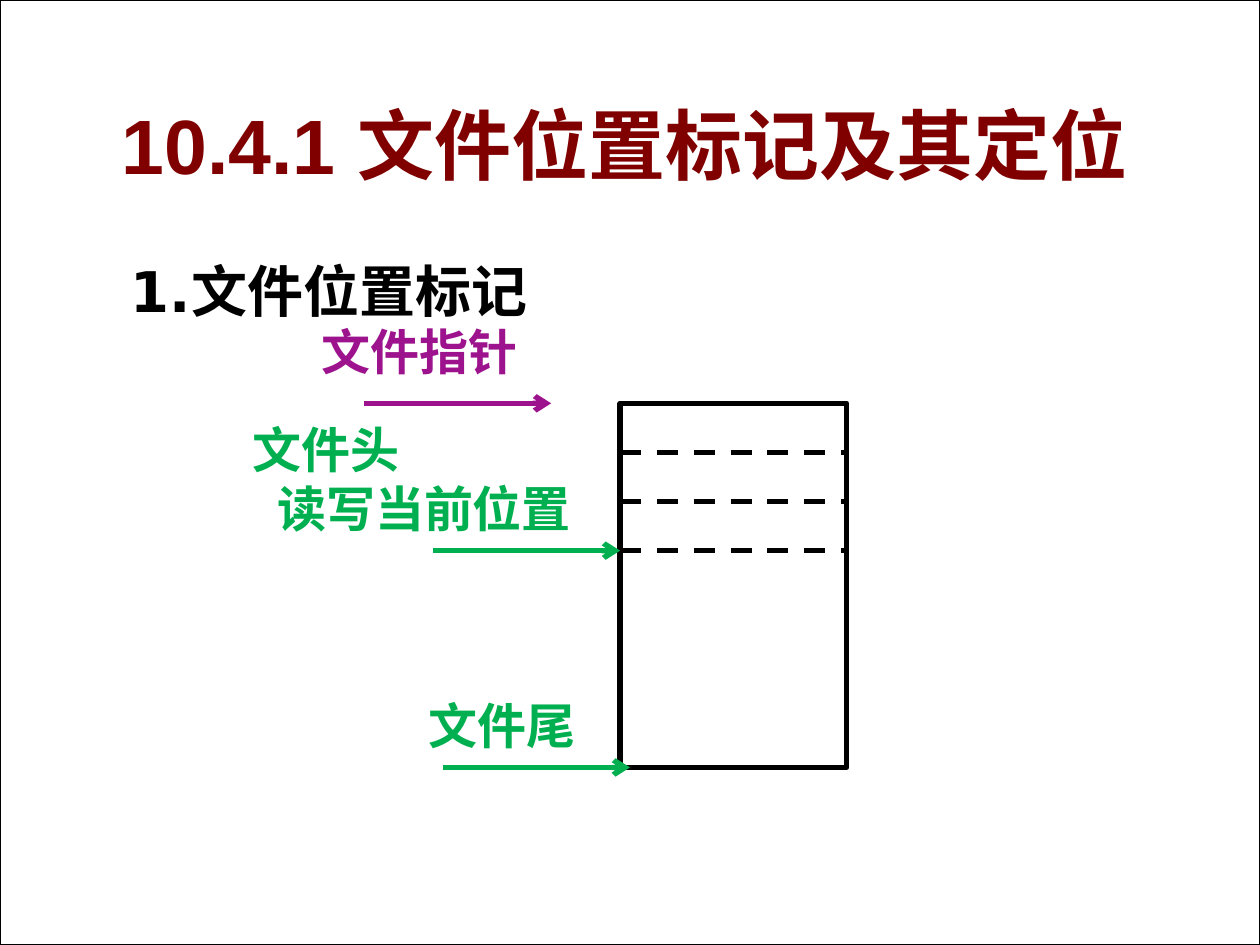
import pptx
import pptx.dml.color
import pptx.enum.dml
import pptx.enum.shapes
import pptx.enum.text
import pptx.oxml
import pptx.oxml.ns
import pptx.util
from pptx.util import Cm

ALIGN = pptx.enum.text.PP_ALIGN
ANCHOR = pptx.enum.text.MSO_ANCHOR
BLACK, WHITE, MAROON = "000000", "FFFFFF", "800000"
PURPLE, GREEN = "9D138D", "00B050"
TEXT_SHADOW = (
    f'<a:effectLst {pptx.oxml.ns.nsdecls("a")}>'
    '<a:outerShdw dist="38100" dir="2700000"><a:srgbClr val="C0C0C0"/></a:outerShdw>'
    '</a:effectLst>'
)


def rgb(value):
    return pptx.dml.color.RGBColor.from_string(value)


def apply(target, values):
    """Set each named attribute of target."""
    for name, value in values.items():
        setattr(target, name, value)


class SlideBuilder:
    label_font = {"name": "Arial", "size": pptx.util.Pt(28), "bold": True}
    title_font = {**label_font, "size": pptx.util.Pt(44)}
    heading_font = {"name": "DejaVu Sans", "size": pptx.util.Pt(32), "bold": True}
    thick = 3

    def __init__(self, slide):
        self.slide = slide

    def box(self, left, top, width, height, weight, fill=None):
        box = self.slide.shapes.add_shape(
            pptx.enum.shapes.MSO_SHAPE.RECTANGLE,
            Cm(left), Cm(top), Cm(width), Cm(height))
        box.shadow.inherit = False
        if fill:
            box.fill.solid()
            box.fill.fore_color.rgb = rgb(fill)
        else:
            box.fill.background()
        box.line.color.rgb = rgb(BLACK)
        box.line.width = pptx.util.Pt(weight)

    def text(self, words, left, top, width, height, color, font, frame=None, layout=None):
        """Add a one-paragraph text box and return its run."""
        area = self.slide.shapes.add_textbox(
            Cm(left), Cm(top), Cm(width), Cm(height)).text_frame
        apply(area, {"word_wrap": True, **(frame or {})})
        paragraph = area.paragraphs[0]
        apply(paragraph, layout or {"alignment": ALIGN.CENTER})
        run = paragraph.add_run()
        run.text = words
        apply(run.font, font)
        run.font.color.rgb = rgb(color)
        return run

    def title(self, words, *place):
        run = self.text(words, *place, MAROON, self.title_font,
                        {"vertical_anchor": ANCHOR.MIDDLE})
        fill = run.font.fill._xPr.find(pptx.oxml.ns.qn("a:solidFill"))
        fill.addnext(pptx.oxml.parse_xml(TEXT_SHADOW))

    def heading(self, words, *place):
        self.text(words, *place, BLACK, self.heading_font,
                  layout={"line_spacing": 1.2})

    def label(self, words, left, top, width, color):
        self.text(words, left, top, width, 1.45, color, self.label_font,
                  {"auto_size": pptx.enum.text.MSO_AUTO_SIZE.SHAPE_TO_FIT_TEXT})

    def rule(self, left, top, length, color):
        """Add a thick horizontal line and return it."""
        rule = self.slide.shapes.add_connector(
            pptx.enum.shapes.MSO_CONNECTOR.STRAIGHT,
            Cm(left), Cm(top), Cm(left + length), Cm(top))
        rule.line.color.rgb = rgb(color)
        rule.line.width = pptx.util.Pt(self.thick)
        rule._element.spPr.append(pptx.oxml.parse_xml(
            f'<a:effectLst {pptx.oxml.ns.nsdecls("a")}/>'))
        return rule

    def dashed(self, *place):
        self.rule(*place, BLACK).line.dash_style = pptx.enum.dml.MSO_LINE.DASH

    def arrow(self, *place):
        line = self.rule(*place).line._get_or_add_ln()
        line.append(pptx.oxml.parse_xml(
            f'<a:tailEnd {pptx.oxml.ns.nsdecls("a")} type="arrow"/>'))


def main():
    deck = pptx.Presentation()
    deck.slide_width, deck.slide_height = Cm(25.4), Cm(19.05)
    page = SlideBuilder(deck.slides.add_slide(deck.slide_layouts[6]))

    page.box(0, 0, 25.4, 19.05, 0.75, WHITE)
    page.title("10.4.1 文件位置标记及其定位", 0.79, 1.83, 23.62, 2.13)

    file_left, file_top, file_width, file_height = 12.5, 8.13, 4.57, 7.34
    row = 0.99
    page.box(file_left, file_top, file_width, file_height, page.thick)
    for number in range(1, 4):
        page.dashed(file_left, file_top + number * row, file_width)

    markers = [
        ("文件指针", 5.77, 6.35, 5.36, PURPLE),
        ("读写当前位置", 4.78, 9.53, 7.54, GREEN),
        ("文件尾", 8.33, 13.89, 3.58, GREEN),
        ("文件头", 4.78, 8.33, 3.58, GREEN),
    ]
    for marker in markers:
        page.label(*marker)

    arrow_length = 3.77
    arrows = [
        (7.34, file_top, PURPLE),
        (file_left - arrow_length, file_top + 3 * row, GREEN),
        (8.93, file_top + file_height, GREEN),
    ]
    for left, top, color in arrows:
        page.arrow(left, top, arrow_length, color)

    page.heading("1.文件位置标记", 2.39, 4.78, 21.23, 1.78)
    deck.save("out.pptx")


if __name__ == "__main__":
    main()
